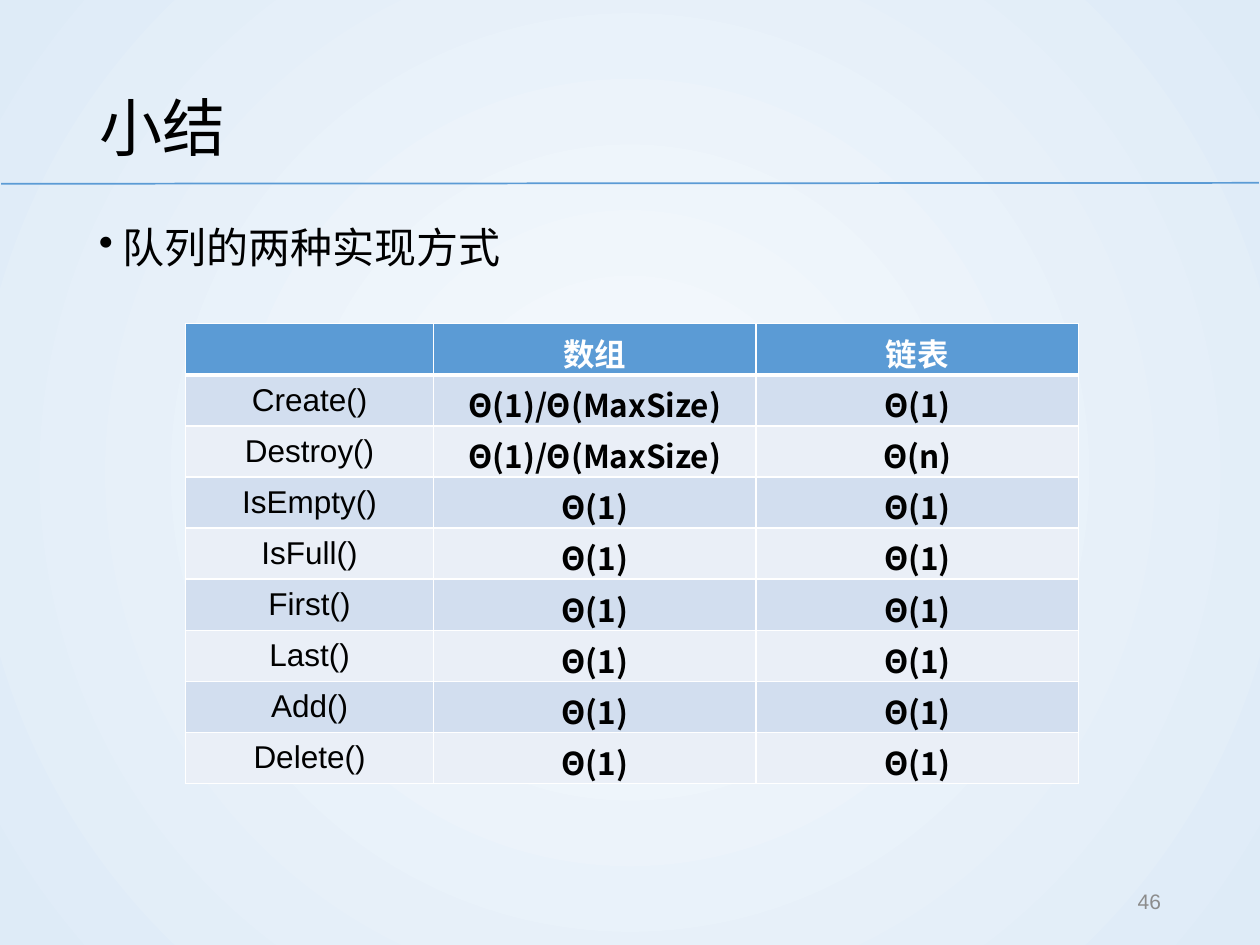
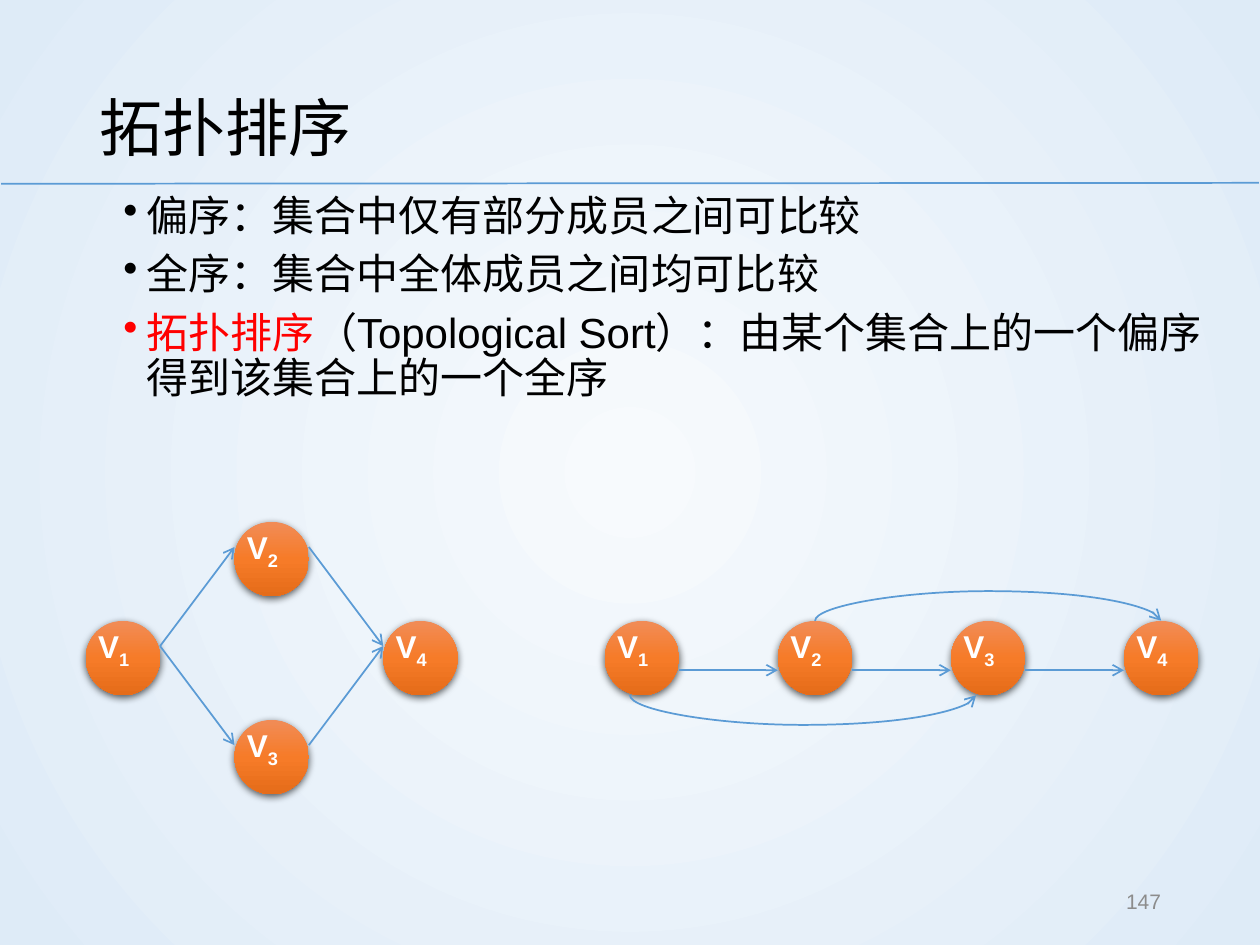
from dataclasses import dataclass

from lxml import etree
from pptx import Presentation
from pptx.dml.color import RGBColor
from pptx.enum.shapes import MSO_CONNECTOR, MSO_SHAPE
from pptx.enum.text import MSO_ANCHOR, MSO_AUTO_SIZE, PP_ALIGN
from pptx.oxml import parse_xml
from pptx.oxml.ns import nsdecls, qn
from pptx.util import Pt

STRAIGHT, CURVE = MSO_CONNECTOR.STRAIGHT, MSO_CONNECTOR.CURVE
NODE_SHAPE = MSO_SHAPE.FLOWCHART_CONNECTOR
TOP, MIDDLE = MSO_ANCHOR.TOP, MSO_ANCHOR.MIDDLE
LEFT, CENTER, RIGHT = PP_ALIGN.LEFT, PP_ALIGN.CENTER, PP_ALIGN.RIGHT
TITLE_ONLY = 5


@dataclass(frozen=True)
class Theme:
    latin: str = "Arial"
    chinese: str = "Noto Sans CJK SC"
    ink: str = "000000"
    white: str = "FFFFFF"
    red: str = "FF0000"
    blue: str = "5B9BD5"
    grey: str = "8C8C8C"
    bands: tuple = ("D2DEEF", "EAEFF7")
    backdrop: tuple = ((0, "F7FAFD"), (100, "DEEBF7"))
    orange: tuple = ((0, "F18C57"), (50, "F67B28"), (100, "E56C19"))
    title_size: float = 36
    body_size: float = 24
    label_size: float = 18
    number_size: float = 12


THEME = Theme()
NODE = 42.5         # node diameter
SIDE_PORT = 14.4    # height of the diamond's arrow ends below a node's top
CHAIN_PORT = 28.2   # the same for the chain
BULGE = 18          # how far a curve swings out


# Text
def add_span(para, text, *, size=THEME.body_size, font=THEME.latin,
             color=THEME.ink, bold=False, baseline=0):
    span = para.add_run()
    span.text = text
    span.font.size = Pt(size)
    span.font.bold = bold
    span.font.name = font
    span.font.color.rgb = RGBColor.from_string(color)
    properties = span.font._element
    etree.SubElement(properties, qn("a:ea")).set("typeface", THEME.chinese)
    if baseline:
        properties.set("baseline", str(baseline * 1000))


def add_box(shapes, left, top, width, height, anchor=TOP, align=LEFT):
    box = shapes.add_textbox(Pt(left), Pt(top), Pt(width), Pt(height))
    frame = box.text_frame
    frame.word_wrap = True
    frame.vertical_anchor = anchor
    frame.paragraphs[0].alignment = align
    return frame


def add_bullets(page, area, items, line_spacing, **text_format):
    """Each item is a list of (text, color) spans."""
    frame = add_box(page.shapes, *area)
    for index, spans in enumerate(items):
        para = frame.add_paragraph() if index else frame.paragraphs[0]
        properties = para._p.get_or_add_pPr()
        properties.set("marL", str(Pt(13.5)))
        properties.set("indent", str(-Pt(13.5)))
        etree.SubElement(properties, qn("a:buChar")).set("char", "•")
        para.line_spacing = line_spacing
        if index:
            para.space_before = Pt(7.5)
        for text, color in spans:
            add_span(para, text, color=color, **text_format)


# Fills and lines
def set_gradient(fill, parent, stops, direction):
    """Swap the solid fill under parent for a gradient."""
    fill.solid()
    marks = "".join(f'<a:gs pos="{pos * 1000}"><a:srgbClr val="{color}"/></a:gs>'
                    for pos, color in stops)
    gradient = parse_xml(f'<a:gradFill {nsdecls("a")} rotWithShape="1">'
                         f'<a:gsLst>{marks}</a:gsLst>{direction}</a:gradFill>')
    solid = parent.find(".//" + qn("a:solidFill"))
    solid.getparent().replace(solid, gradient)


def add_line(shapes, start, end, kind=STRAIGHT, arrow=True):
    line = shapes.add_connector(kind, *(Pt(value) for value in (*start, *end)))
    line.line.color.rgb = RGBColor.from_string(THEME.blue)
    line.line.width = Pt(1)
    if arrow:
        etree.SubElement(line.line._get_or_add_ln(), qn("a:tailEnd")).set("type", "arrow")
    etree.SubElement(line._element.spPr, qn("a:effectLst"))
    return line


def add_arc(shapes, start_x, end_x, y, above):
    """Curved arrow between two points at one height: a thin upright, turned."""
    thin, span, middle = 0.12, end_x - start_x, (start_x + end_x) / 2
    arc = add_line(shapes, (middle - thin / 2, y - span / 2),
                   (middle + thin / 2, y + span / 2), CURVE)
    frame = arc._element.spPr.find(qn("a:xfrm"))
    frame.set("rot", str((90 if above else 270) * 60000))
    frame.set("flipH", "1")
    if above:
        frame.set("flipV", "1")
    guide = etree.SubElement(arc._element.spPr.find(".//" + qn("a:avLst")), qn("a:gd"))
    guide.set("name", "adj1")
    guide.set("fmla", f"val {round(BULGE / thin * 100000)}")


# Graph nodes
def add_node(shapes, left, top, number):
    node = shapes.add_shape(NODE_SHAPE, Pt(left), Pt(top), Pt(NODE), Pt(NODE))
    set_gradient(node.fill, node._element.spPr, THEME.orange,
                 '<a:lin ang="5400000" scaled="0"/>')
    node.line.fill.background()
    node.shadow.inherit = False
    node._element.spPr.find(qn("a:effectLst")).append(parse_xml(
        f'<a:outerShdw {nsdecls("a")} blurRad="{Pt(4.5)}" dist="{Pt(1.5)}" '
        'dir="5400000" algn="ctr" rotWithShape="0"><a:srgbClr val="000000">'
        '<a:alpha val="63000"/></a:srgbClr></a:outerShdw>'))
    frame = add_box(shapes, left, top, NODE, 29)
    frame.auto_size = MSO_AUTO_SIZE.SHAPE_TO_FIT_TEXT
    for text, baseline in (("V", 0), (str(number), -25)):
        add_span(frame.paragraphs[0], text, size=THEME.label_size,
                 color=THEME.white, bold=True, baseline=baseline)


def add_graph(page, places, edges, port):
    """Nodes V1, V2, ... at places, with arrows from right side to left side."""
    shapes = page.shapes.add_group_shape().shapes
    for number, (left, top) in enumerate(places, 1):
        add_node(shapes, left, top, number)
    for source, target in edges:
        left, top = places[source - 1]
        end_left, end_top = places[target - 1]
        add_line(shapes, (left + NODE, top + port), (end_left, end_top + port))
    return shapes


# Table
def style_cell(cell, text, fill, edges, **text_format):
    properties = cell._tc.get_or_add_tcPr()
    for side, width in edges.items():
        properties.append(parse_xml(
            f'<a:ln{side} {nsdecls("a")} w="{Pt(width)}"><a:solidFill>'
            f'<a:srgbClr val="{THEME.white}"/></a:solidFill></a:ln{side}>'))
    cell.fill.solid()
    cell.fill.fore_color.rgb = RGBColor.from_string(fill)
    cell.vertical_anchor = MIDDLE
    para = cell.text_frame.paragraphs[0]
    para.alignment = CENTER
    add_span(para, text, size=THEME.label_size, **text_format)


def add_cost_table(page, left, top, widths, row_height, rows):
    table = page.shapes.add_table(len(rows), len(widths), Pt(left), Pt(top),
                                  Pt(sum(widths)), Pt(row_height * len(rows))).table
    for column, width in zip(table.columns, widths):
        column.width = Pt(width)
    for r, row in enumerate(rows):
        table.rows[r].height = Pt(row_height)
        header = r == 0
        edges = {"L": 1, "R": 1, "T": 3 if r == 1 else 1, "B": 3 if header else 1}
        for c, text in enumerate(row):
            style_cell(table.cell(r, c), text,
                       THEME.blue if header else THEME.bands[(r - 1) % 2], edges,
                       color=THEME.white if header else THEME.ink,
                       font=THEME.latin if header or c == 0 else THEME.chinese,
                       bold=header or c > 0)


# Shared page frame
def add_page(deck, title, number, title_font=THEME.latin):
    page = deck.slides.add_slide(deck.slide_layouts[TITLE_ONLY])
    add_line(page.shapes, (0.6, 105), (719.4, 104.5), arrow=False)
    heading = page.shapes.title
    heading.left, heading.top, heading.width, heading.height = map(Pt, (49.5, 29, 621, 78))
    frame = heading.text_frame
    frame.word_wrap = True
    frame.auto_size = MSO_AUTO_SIZE.NONE
    frame.vertical_anchor = MIDDLE
    para = frame.paragraphs[0]
    para.alignment = LEFT
    para.line_spacing = 1.2
    add_span(para, title, size=THEME.title_size, font=title_font)
    footer = add_box(page.shapes, 508.5, 500.5, 162, 28.8, MIDDLE, RIGHT)
    add_span(footer.paragraphs[0], str(number), size=THEME.number_size, color=THEME.grey)
    return page


def build_summary(deck):
    page = add_page(deck, "小结", 46, THEME.chinese)
    add_bullets(page, (49.5, 117.5, 621, 369), [[("队列的两种实现方式", THEME.ink)]],
                1.2, font=THEME.chinese)
    constant, sized = "Θ(1)", "Θ(1)/Θ(MaxSize)"
    rows = [("", "数组", "链表"),
            ("Create()", sized, constant),
            ("Destroy()", sized, "Θ(n)")]
    rows += [(f"{name}()", constant, constant)
             for name in ("IsEmpty", "IsFull", "First", "Last", "Add", "Delete")]
    add_cost_table(page, 106, 185, (141.8, 184.3, 184.3), 29.2, rows)


def build_topological_sort(deck):
    page = add_page(deck, "拓扑排序", 147)
    add_bullets(page, (63.4, 108, 641.5, 198), [
        [("偏序：集合中仅有部分成员之间可比较", THEME.ink)],
        [("全序：集合中全体成员之间均可比较", THEME.ink)],
        [("拓扑排序", THEME.red),
         ("（Topological Sort）：由某个集合上的一个偏序得到该集合上的一个全序", THEME.ink)],
    ], 0.9)

    # Partial order as a diamond
    left, level, across, rise = 49, 354.8, 85, 56.6
    diamond = [(left, level), (left + across, level - rise),
               (left + across, level + rise), (left + 2 * across, level)]
    add_graph(page, diamond, [(1, 2), (1, 3), (2, 4), (3, 4)], SIDE_PORT)

    # Total order as a chain
    chain = [(345.6 + 98.9 * index, level) for index in range(4)]
    shapes = add_graph(page, chain, [(1, 2), (2, 3), (3, 4)], CHAIN_PORT)
    first, second, third, fourth = (place[0] for place in chain)
    add_arc(shapes, second + NODE / 2, fourth + NODE / 2, level, above=True)
    add_arc(shapes, first + SIDE_PORT, third + SIDE_PORT, level + NODE, above=False)


def main():
    deck = Presentation()
    deck.slide_width, deck.slide_height = Pt(720), Pt(540)
    master = deck.slide_master
    set_gradient(master.background.fill, master._element, THEME.backdrop,
                 '<a:path path="circle"><a:fillToRect l="50000" t="50000" '
                 'r="50000" b="50000"/></a:path>')
    build_summary(deck)
    build_topological_sort(deck)
    deck.save("out.pptx")


if __name__ == "__main__":
    main()
